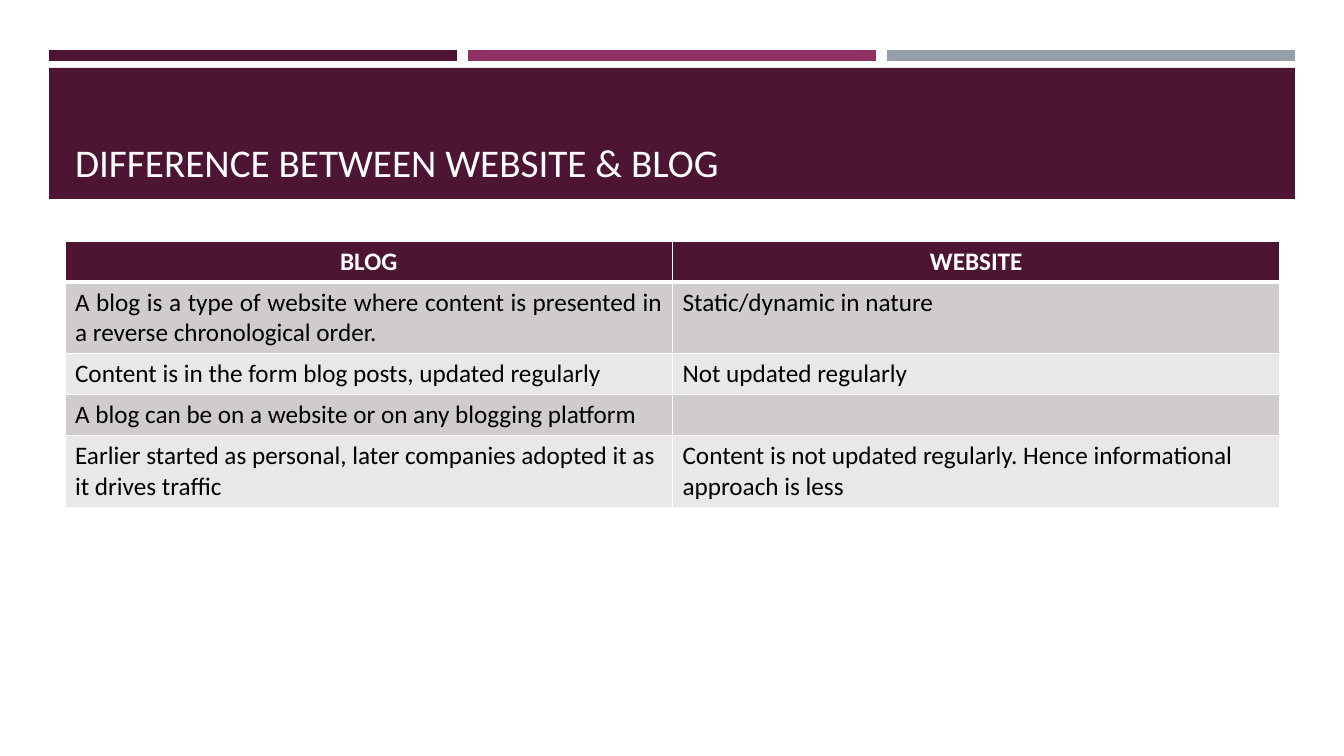
from lxml import etree
from pptx import Presentation
from pptx import util as u
from pptx.dml.color import RGBColor
from pptx.enum import shapes, text
from pptx.oxml import ns

PLUM = RGBColor(0x4D, 0x14, 0x34)
MAGENTA = RGBColor(0x90, 0x31, 0x63)
SLATE = RGBColor(0x96, 0x9F, 0xA7)
WHITE = RGBColor(0xFF, 0xFF, 0xFF)
BLACK = RGBColor(0, 0, 0)
DARK_BAND = RGBColor(0xD0, 0xCC, 0xCE)
LIGHT_BAND = RGBColor(0xE9, 0xE7, 0xE8)

FONT = "Calibri"
TITLE = "DIFFERENCE BETWEEN WEBSITE & BLOG"
HEADINGS = ("BLOG", "WEBSITE")
CENTER, JUSTIFY, LEFT = (
    text.PP_ALIGN.CENTER, text.PP_ALIGN.JUSTIFY, text.PP_ALIGN.LEFT)
# alignment, blog, website
COMPARISON = [
    (JUSTIFY, "A blog is a type of website where content is presented in a "
     "reverse chronological order.", "Static/dynamic in nature"),
    (JUSTIFY, "Content is in the form blog posts, updated regularly",
     "Not updated regularly"),
    (JUSTIFY, "A blog can be on a website or on any blogging platform", ""),
    (LEFT, "Earlier started as personal, later companies adopted it as it "
     "drives traffic", "Content is not updated regularly. Hence informational "
     "approach is less"),
]
ROW_HEIGHTS = (41, 71, 41, 41, 71)
STRIPES = (PLUM, MAGENTA, SLATE)
STRIPE_LEFT, STRIPE_WIDTH, STRIPE_STEP = 49, 408, 419


def px(length):
    return u.Emu(round(length * 914400 / 100.8))


def box(left, top, width, height):
    return px(left), px(top), px(width), px(height)


def add_bar(slide, place, color):
    bar = slide.shapes.add_shape(shapes.MSO_SHAPE.RECTANGLE, *place)
    bar.shadow.inherit = False
    bar.fill.solid()
    bar.fill.fore_color.rgb = color
    bar.line.fill.background()


def write(paragraph, words, size, color, bold=False):
    run = paragraph.add_run()
    run.text = words
    run.font.name = FONT
    run.font.size = u.Pt(size)
    run.font.bold = bold
    run.font.color.rgb = color


def add_borders(cell, top, bottom):
    """Draw white cell borders; top and bottom are widths in points."""
    properties = cell._tc.get_or_add_tcPr()
    for side, points in (("L", 1), ("R", 1), ("T", top), ("B", bottom)):
        line = etree.SubElement(
            properties, ns.qn(f"a:ln{side}"), w=str(u.Pt(points)))
        fill = etree.SubElement(line, ns.qn("a:solidFill"))
        etree.SubElement(fill, ns.qn("a:srgbClr"), val=str(WHITE))


def add_title(slide):
    title = slide.shapes.title
    # Bring the title in front of its band
    title.element.getparent().append(title.element)
    title.left, title.top, title.width, title.height = box(65, 78, 1215, 112)
    frame = title.text_frame
    frame.auto_size = text.MSO_AUTO_SIZE.NONE
    frame.word_wrap = True
    frame.vertical_anchor = text.MSO_ANCHOR.BOTTOM
    frame.paragraphs[0].alignment = LEFT
    write(frame.paragraphs[0], TITLE, 28, WHITE)


def add_comparison(slide):
    rows = [(CENTER, *HEADINGS), *COMPARISON]
    table = slide.shapes.add_table(
        len(rows), len(HEADINGS),
        *box(65, 241, 1215, sum(ROW_HEIGHTS))).table
    for r, (alignment, *entries) in enumerate(rows):
        table.rows[r].height = px(ROW_HEIGHTS[r])
        header = r == 0
        band = PLUM if header else DARK_BAND if r % 2 else LIGHT_BAND
        for c, words in enumerate(entries):
            cell = table.cell(r, c)
            add_borders(cell, 3 if r == 1 else 1, 3 if header else 1)
            cell.fill.solid()
            cell.fill.fore_color.rgb = band
            if words:
                paragraph = cell.text_frame.paragraphs[0]
                paragraph.alignment = alignment
                write(paragraph, words, 18, WHITE if header else BLACK, header)


def main():
    deck = Presentation()
    deck.slide_width, deck.slide_height = px(1344), px(756)
    slide = deck.slides.add_slide(deck.slide_layouts[5])
    for i, color in enumerate(STRIPES):
        add_bar(slide, box(STRIPE_LEFT + i * STRIPE_STEP, 50,
                           STRIPE_WIDTH, 11), color)
    add_bar(slide, box(49, 68, 1246, 131), PLUM)
    add_title(slide)
    add_comparison(slide)
    deck.save("out.pptx")


if __name__ == "__main__":
    main()
